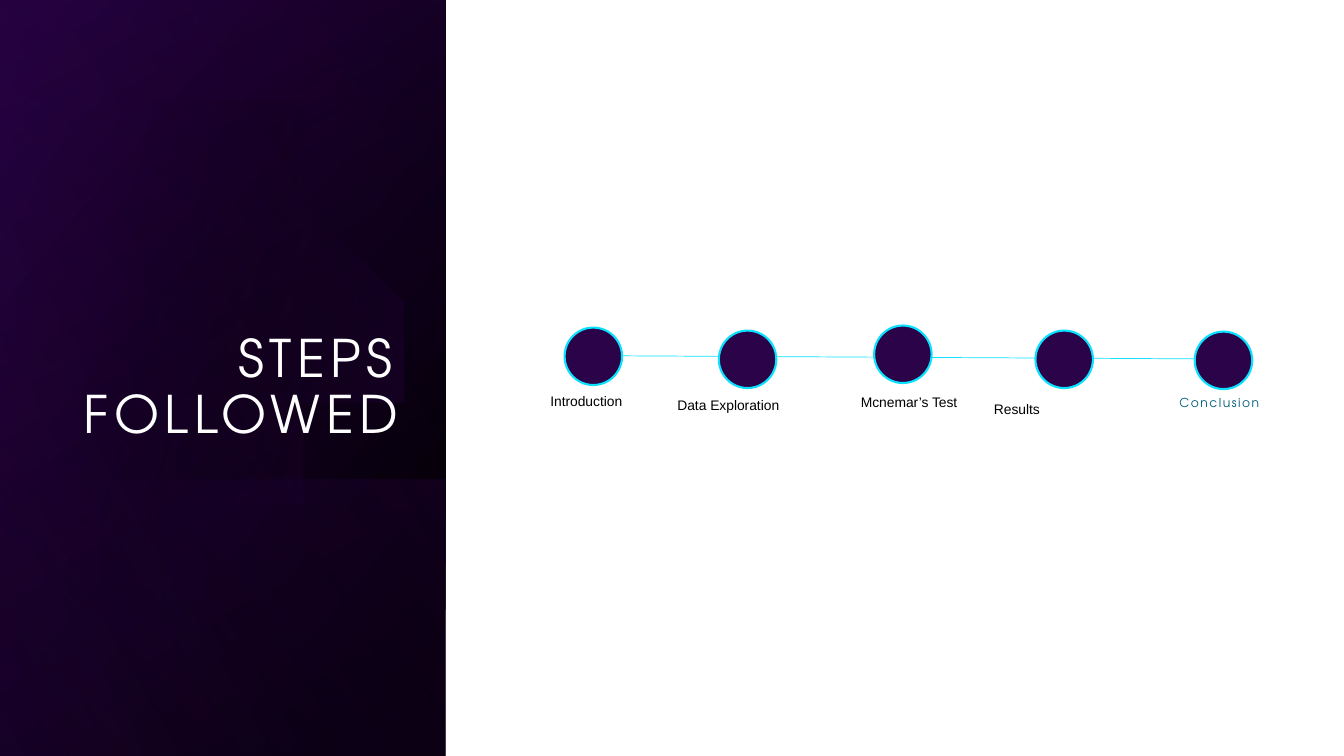
from pptx import Presentation
from pptx.dml.color import RGBColor
from pptx.enum.shapes import MSO_CONNECTOR, MSO_SHAPE
from pptx.enum.text import MSO_ANCHOR, PP_ALIGN
from pptx.oxml.ns import qn
from pptx.util import Inches, Pt
from lxml.etree import SubElement

# Content
TITLE = "STEPS FOLLOWED"
# label, circle left and top, label box (left, top, width, height)
STEPS = [
    ("Introduction", 5.6, 3.25, (5.36, 3.85, 1.03, 0.52)),
    ("Data Exploration", 7.13, 3.28, (6.62, 3.89, 1.59, 0.45)),
    ("Mcnemar’s Test", 8.67, 3.23, (8.44, 3.86, 1.19, 0.42)),
    ("Results", 10.27, 3.28, (9.76, 3.93, 1.59, 0.45)),
    ("Conclusion", 11.85, 3.29, (11.53, 3.89, 1.13, 0.45)),
]

THEME = {
    "black": "000000", "white": "FFFFFF", "night": "200236", "plum": "2B0348",
    "violet": "8F0AEF", "cyan": "0BE1FF", "teal": "005D79",
    "display": "TeX Gyre Adventor", "body": "Arial",
    "title_size": 37, "label_size": 9.9, "last_size": 8.8,
    "line": 0.5, "ring": 1.5,
}

# Panel layers: height, gradient stops (position %, colour, opacity %), angle
PANEL_W, SLIDE_H, CIRCLE = 4.42, 7.5, 0.57
BASE = (7.5, [(8, "black", 100), (100, "night", 100)], 50)
TINT = (7.5, [(0, "black", 0), (99, "plum", 46)], 30)
FOOT = (2.74, [(2, "plum", 29), (100, "black", 30)], 130)
GLOW = (7.5, [(0, "black", 0), (99, "violet", 11)], 120)
DISC_STOPS, DISC_ANGLE = [(29, "black", 0), (100, "plum", 43)], 14

# Disc outline: each curve is two control points and an end point
DISC_START = (1.49, 1.1)
DISC_RIGHT = [
    ((2.46, 1.12), (3.35, 1.77), (3.63, 2.75)),
    ((3.98, 3.97), (3.28, 5.23), (2.07, 5.58)),
    ((1.31, 5.8), (0.53, 5.61), (-0.03, 5.14)),
]
DISC_EDGE = [(-0.15, 5.03), (-0.15, 1.75), (0, 1.61)]
DISC_TOP = [
    ((0.23, 1.42), (0.5, 1.28), (0.8, 1.19)),
    ((1.03, 1.13), (1.26, 1.1), (1.49, 1.1)),
]


def color(name):
    return RGBColor.from_string(THEME[name])


def curve_points(start, curves, steps=24):
    points = []
    for c1, c2, end in curves:
        for i in range(1, steps + 1):
            t = i / steps
            u = 1 - t
            points.append(tuple(
                u**3 * a + 3 * u * u * t * b + 3 * u * t * t * c + t**3 * d
                for a, b, c, d in zip(start, c1, c2, end)))
        start = end
    return points


def paint_gradient(sp, stops, angle):
    sp.shadow.inherit = False
    sp.line.fill.background()
    sp.fill.gradient()
    sp.fill.gradient_angle = -angle % 360
    for stop, (position, name, _) in zip(sp.fill.gradient_stops, stops):
        stop.position = position / 100
        stop.color.rgb = color(name)
    for clr, (_, _, opacity) in zip(sp._element.spPr.iter(qn("a:srgbClr")), stops):
        if opacity < 100:
            SubElement(clr, qn("a:alpha")).set("val", str(opacity * 1000))


def add_layer(s, layer):
    """Bottom-aligned panel layer, mirrored and turned a quarter."""
    height, stops, angle = layer
    left = (PANEL_W - height) / 2
    top = SLIDE_H - (height + PANEL_W) / 2
    sp = s.shapes.add_shape(MSO_SHAPE.RECTANGLE, Inches(left), Inches(top),
                            Inches(height), Inches(PANEL_W))
    sp.rotation = 90
    sp._element.spPr.xfrm.set("flipH", "1")
    paint_gradient(sp, stops, angle)


def add_text(s, box, text, font, size, name, spacing=0, align=PP_ALIGN.LEFT):
    sp = s.shapes.add_textbox(*map(Inches, box))
    tf = sp.text_frame
    tf.word_wrap = True
    tf.text = text
    p = tf.paragraphs[0]
    p.alignment = align
    if font == THEME["display"]:
        p.line_spacing = 0.9
    r = p.runs[0]
    r.font.name, r.font.size = font, Pt(size)
    r.font.color.rgb = color(name)
    if spacing:
        r.font._element.set("spc", str(round(spacing * 100)))
    return tf


prs = Presentation()
prs.slide_width, prs.slide_height = Inches(13.33), Inches(SLIDE_H)
s = prs.slides.add_slide(prs.slide_layouts[6])

# Dark panel
for layer in (BASE, TINT, FOOT):
    add_layer(s, layer)

outline = (curve_points(DISC_START, DISC_RIGHT) + DISC_EDGE
           + curve_points(DISC_EDGE[-1], DISC_TOP))
builder = s.shapes.build_freeform(*DISC_START, scale=Inches(1))
builder.add_line_segments(outline, close=True)
paint_gradient(builder.convert_to_shape(), DISC_STOPS, DISC_ANGLE)

add_layer(s, GLOW)

# Title
tf = add_text(s, (0.37, 1.84, 3.68, 2.62), TITLE, THEME["display"],
              THEME["title_size"], "white", 4, PP_ALIGN.RIGHT)
tf.vertical_anchor = MSO_ANCHOR.BOTTOM

# Timeline
line = s.shapes.add_connector(MSO_CONNECTOR.STRAIGHT, Inches(6.17), Inches(3.53),
                              Inches(11.84), Inches(3.56))
line.line.color.rgb = color("cyan")
line.line.width = Pt(THEME["line"])
SubElement(line._element.spPr, qn("a:effectLst"))

# Steps
for label, left, top, box in STEPS:
    sp = s.shapes.add_shape(MSO_SHAPE.OVAL, Inches(left), Inches(top),
                            Inches(CIRCLE), Inches(CIRCLE))
    sp.shadow.inherit = False
    sp.fill.solid()
    sp.fill.fore_color.rgb = color("plum")
    sp.line.color.rgb = color("cyan")
    sp.line.width = Pt(THEME["ring"])
    if label == STEPS[-1][0]:
        add_text(s, box, label, THEME["display"], THEME["last_size"], "teal",
                 1.1, PP_ALIGN.CENTER)
    else:
        add_text(s, box, label, THEME["body"], THEME["label_size"], "black")

prs.save("out.pptx")
